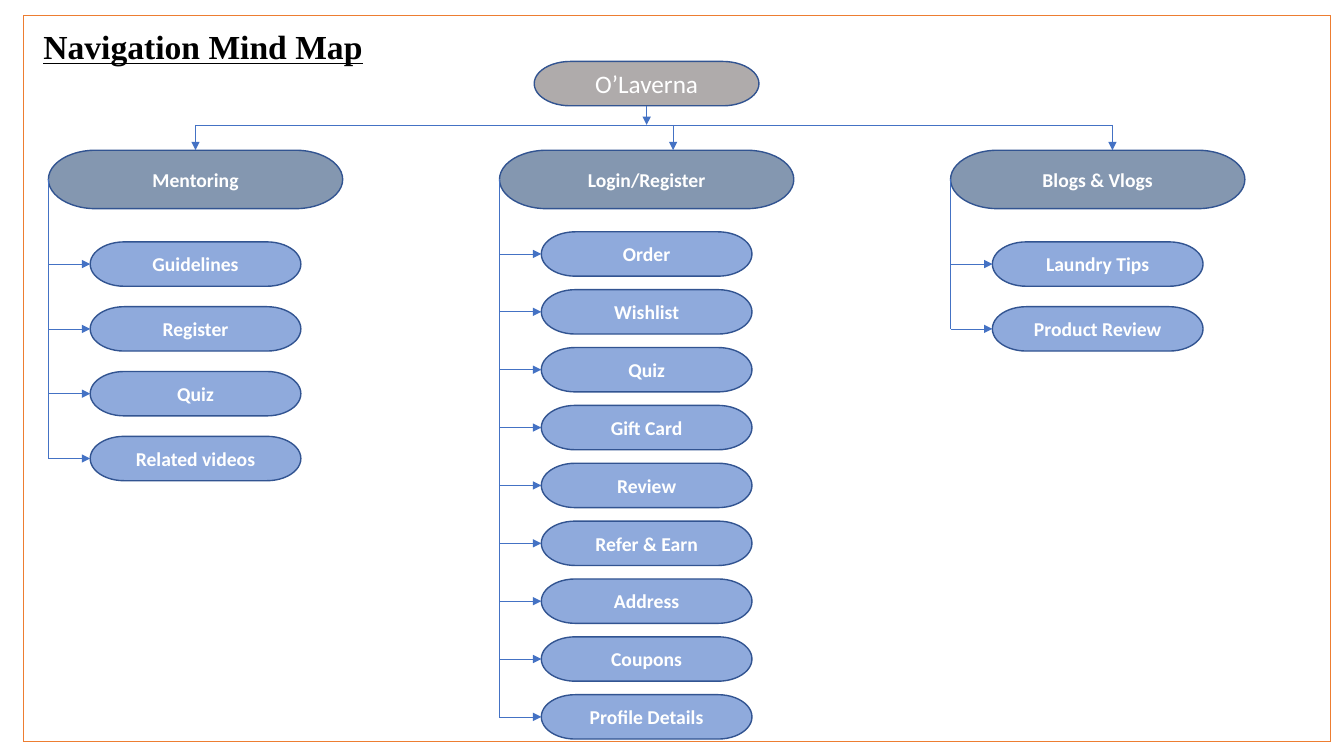
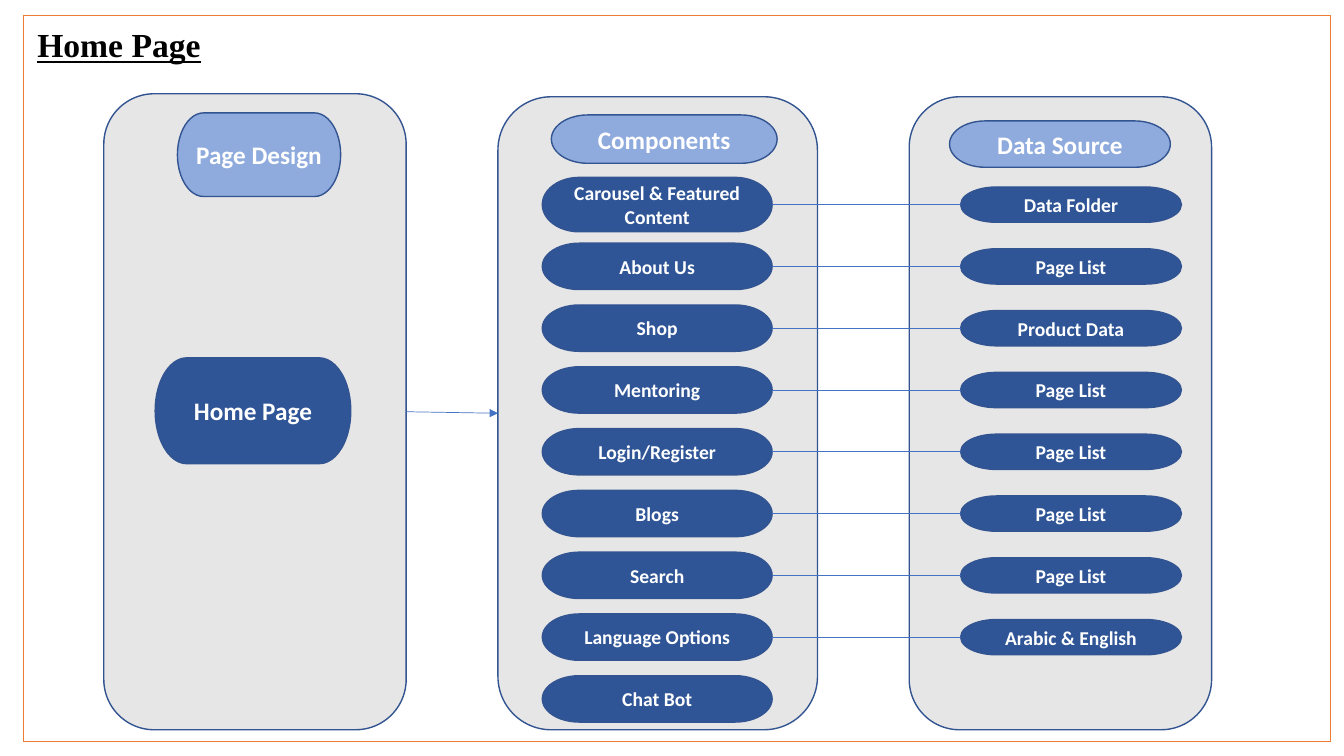
from dataclasses import dataclass

from lxml.etree import SubElement
from pptx import Presentation
from pptx.dml.color import RGBColor
from pptx.enum.shapes import MSO_CONNECTOR, MSO_SHAPE
from pptx.enum.text import MSO_ANCHOR, MSO_AUTO_SIZE, PP_ALIGN
from pptx.oxml.ns import qn
from pptx.util import Inches, Pt

TITLE_ONLY = 5
TOP, LEFT, BOTTOM, RIGHT = range(4)


@dataclass(frozen=True)
class Theme:
    frame: str = "ED7D31"
    outline: str = "325491"
    link: str = "4472C4"
    root: str = "AFABAB"
    heading: str = "8497B0"
    light: str = "8FAADC"
    dark: str = "2F5597"
    panel: str = "E7E6E6"
    on_fill: str = "FFFFFF"
    title: str = "000000"
    title_font: str = "Times New Roman"
    body_font: str = "Calibri"
    title_size: int = 24
    large: int = 18
    small: int = 14
    thin: float = 0.5
    border: float = 1


THEME = Theme()


@dataclass(frozen=True)
class Box:
    """A region in grid units; the slide has 133.33 columns and 75 rows."""
    left: float
    top: float
    width: float
    height: float

    @property
    def right(self):
        return self.left + self.width

    @property
    def bottom(self):
        return self.top + self.height

    def within(self, left, top, width, height):
        return Box(self.left + left, self.top + top, width, height)

    def centred(self, top, width, height):
        return self.within((self.width - width) / 2, top, width, height)

    def lengths(self):
        return [grid(value) for value in (self.left, self.top, self.width, self.height)]


PAGE = Box(0, 0, 133.33, 75)
FRAME = Box(2.3, 1.5, 129.7, 72)


@dataclass(frozen=True)
class Branch:
    heading: str
    leaves: tuple
    first_row: float
    row_pitch: float
    drop_share: float  # where the arrow from above meets the heading


BRANCHES = (
    Branch("Mentoring", ("Guidelines", "Register", "Quiz", "Related videos"),
           9.1, 6.43, 0.5),
    Branch("Login/Register",
           ("Order", "Wishlist", "Quiz", "Gift Card", "Review", "Refer & Earn",
            "Address", "Coupons", "Profile Details"), 8.1, 5.74, 0.59),
    Branch("Blogs & Vlogs", ("Laundry Tips", "Product Review"), 9.1, 6.43, 0.55),
)

COMPONENTS = ("Carousel & Featured Content", "About Us", "Shop", "Mentoring",
              "Login/Register", "Blogs", "Search", "Language Options", "Chat Bot")
SOURCES = ("Data Folder", "Page List", "Product Data", "Page List", "Page List",
           "Page List", "Page List", "Arabic & English")


def grid(value):
    return Inches(value / 10)


def colour(value):
    return RGBColor.from_string(value)


def add_block(slide, kind, box, fill):
    shape = slide.shapes.add_shape(kind, *box.lengths())
    shape.shadow.inherit = False
    shape.fill.solid()
    shape.fill.fore_color.rgb = colour(fill)
    shape.line.color.rgb = colour(THEME.outline)
    shape.line.width = Pt(THEME.border)
    return shape


def add_pill(slide, box, text, fill, size=THEME.small, bold=True):
    shape = add_block(slide, MSO_SHAPE.FLOWCHART_TERMINATOR, box, fill)
    frame = shape.text_frame
    frame.word_wrap = True
    frame.vertical_anchor = MSO_ANCHOR.MIDDLE
    paragraph = frame.paragraphs[0]
    paragraph.text = text
    paragraph.alignment = PP_ALIGN.CENTER
    set_font(paragraph.font, THEME.body_font, size, THEME.on_fill, bold)
    return shape


def set_font(font, name, size, text_colour, bold):
    font.name = name
    font.size = Pt(size)
    font.bold = bold
    font.color.rgb = colour(text_colour)


def add_link(slide, begin=(0, 0), end=(0, 0), join_begin=None, join_end=None,
             arrow=False, line_colour=THEME.link):
    """Draw a line between points, or between joined (shape, site) pairs."""
    connector = slide.shapes.add_connector(
        MSO_CONNECTOR.STRAIGHT, *[grid(value) for value in (*begin, *end)])
    if join_begin:
        connector.begin_connect(*join_begin)
    if join_end:
        connector.end_connect(*join_end)
    connector.line.color.rgb = colour(line_colour)
    connector.line.width = Pt(THEME.thin)
    properties = connector.element.spPr
    if arrow:
        SubElement(properties.find(qn("a:ln")), qn("a:tailEnd"), type="triangle")
    SubElement(properties, qn("a:effectLst"))


def add_frame(slide, box):
    corners = [(box.left, box.top), (box.right, box.top),
               (box.right, box.bottom), (box.left, box.bottom)]
    for begin, end in zip(corners, corners[1:] + corners[:1]):
        add_link(slide, begin, end, line_colour=THEME.frame)


def add_titled_slide(presentation, title, title_box):
    slide = presentation.slides.add_slide(presentation.slide_layouts[TITLE_ONLY])
    placeholder = slide.shapes.title
    (placeholder.left, placeholder.top,
     placeholder.width, placeholder.height) = title_box.lengths()
    frame = placeholder.text_frame
    frame.word_wrap = True
    frame.auto_size = MSO_AUTO_SIZE.NONE
    frame.vertical_anchor = MSO_ANCHOR.TOP
    paragraph = frame.paragraphs[0]
    paragraph.text = title
    paragraph.alignment = PP_ALIGN.LEFT
    set_font(paragraph.font, THEME.title_font, THEME.title_size, THEME.title, True)
    paragraph.font.underline = True
    add_frame(slide, FRAME)
    return slide


def add_branch(slide, box, branch):
    """Place a heading with its leaves hung from a trunk on the left edge."""
    heading = add_pill(slide, box.within(0, 0, box.width, 5.8),
                       branch.heading, THEME.heading)
    leaf_height = 4.4
    for row, text in enumerate(branch.leaves):
        leaf_box = box.centred(branch.first_row + row * branch.row_pitch,
                               20.9, leaf_height)
        middle = leaf_box.top + leaf_height / 2
        leaf = add_pill(slide, leaf_box, text, THEME.light)
        add_link(slide, begin=(box.left, middle), join_end=(leaf, LEFT), arrow=True)
    add_link(slide, end=(box.left, middle), join_begin=(heading, LEFT))
    return heading


def add_mind_map(slide, box):
    root_box = box.within(53, 6.1, 22.3, 4.4)
    root = add_pill(slide, root_box, "O’Laverna", THEME.root, THEME.large, bold=False)
    bus = box.top + 12.4
    root_middle = root_box.left + root_box.width / 2
    add_link(slide, end=(root_middle, bus), join_begin=(root, BOTTOM), arrow=True)
    drops = []
    for column, branch in enumerate(BRANCHES):
        branch_box = box.within(4.8 + column * 44.75, 14.9, 29.2, 58.4)
        heading = add_branch(slide, branch_box, branch)
        drop = branch_box.left + branch.drop_share * branch_box.width
        joined = (heading, TOP) if branch.drop_share == 0.5 else None
        add_link(slide, (drop, bus), (drop, branch_box.top),
                 join_end=joined, arrow=True)
        drops.append(drop)
    add_link(slide, (drops[0], bus), (drops[-1], bus))


def add_panel(slide, box, heading, heading_box):
    panel = add_block(slide, MSO_SHAPE.ROUNDED_RECTANGLE, box, THEME.panel)
    add_pill(slide, heading_box, heading, THEME.light, THEME.large)
    return panel


def add_pill_column(slide, box, texts, left, width, heights):
    """Stack pills on evenly spaced centre lines and return them."""
    first_centre, pitch = 10.7, 6.13
    return [
        add_pill(slide, box.within(left, first_centre + row * pitch - height / 2,
                                   width, height), text, THEME.dark)
        for row, (text, height) in enumerate(zip(texts, heights))
    ]


def add_page_flow(slide, box):
    design = box.within(10.3, 9.3, 30, 63.1)
    components = box.within(49.4, 9.6, 31.7, 62.8)
    sources = box.within(90.2, 9.6, 30, 62.8)

    design_panel = add_panel(slide, design, "Page Design",
                             design.within(7.3, 1.9, 16.2, 8.3))
    component_panel = add_panel(slide, components, "Components",
                                components.within(5.3, 1.8, 22.4, 4.8))
    add_panel(slide, sources, "Data Source", sources.within(4, 2.4, 21.9, 4.6))

    add_pill(slide, design.within(5.1, 26.2, 19.4, 10.5), "Home Page",
             THEME.dark, THEME.large)
    component_pills = add_pill_column(
        slide, components, COMPONENTS, 4.4, 22.8,
        [5.4] + [4.6] * (len(COMPONENTS) - 1))
    source_pills = add_pill_column(
        slide, sources, SOURCES, 5.1, 21.9, [3.5] * len(SOURCES))
    for component, source in zip(component_pills, source_pills):
        add_link(slide, join_begin=(component, RIGHT), join_end=(source, LEFT))
    add_link(slide, join_begin=(design_panel, RIGHT),
             join_end=(component_panel, LEFT), arrow=True)


def main():
    presentation = Presentation()
    presentation.slide_width = grid(PAGE.width)
    presentation.slide_height = grid(PAGE.height)
    add_mind_map(add_titled_slide(presentation, "Navigation Mind Map",
                                  PAGE.within(3.3, 2.1, 37.2, 5)), PAGE)
    add_page_flow(add_titled_slide(presentation, "Home Page",
                                   PAGE.within(2.7, 1.9, 25.2, 5)), PAGE)
    presentation.save("out.pptx")


if __name__ == "__main__":
    main()
